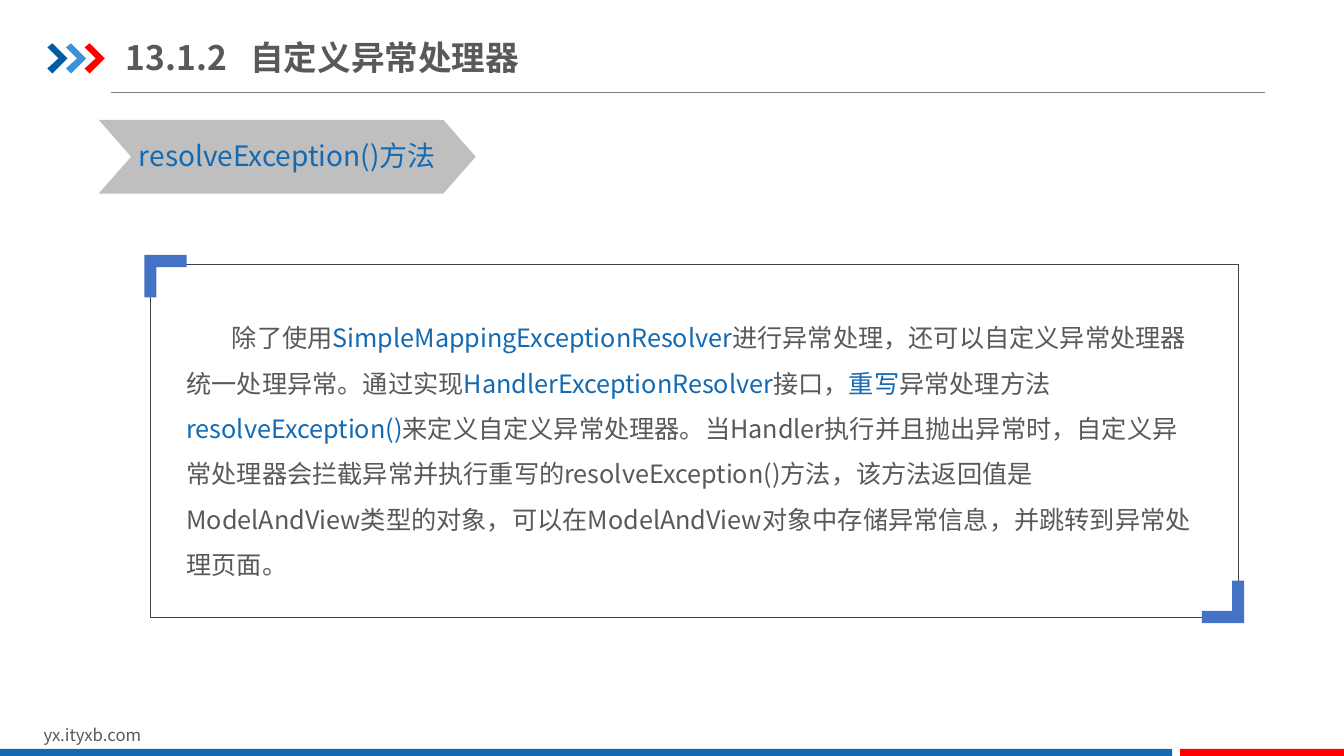
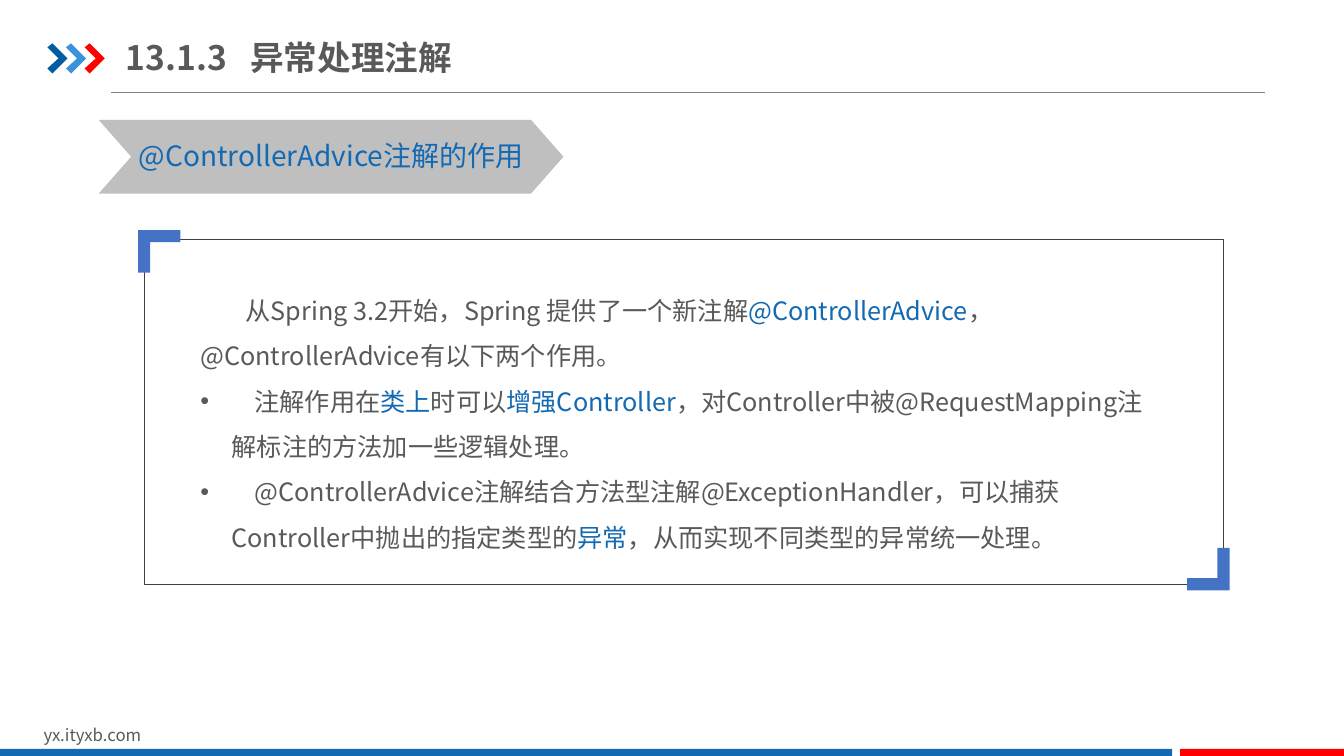
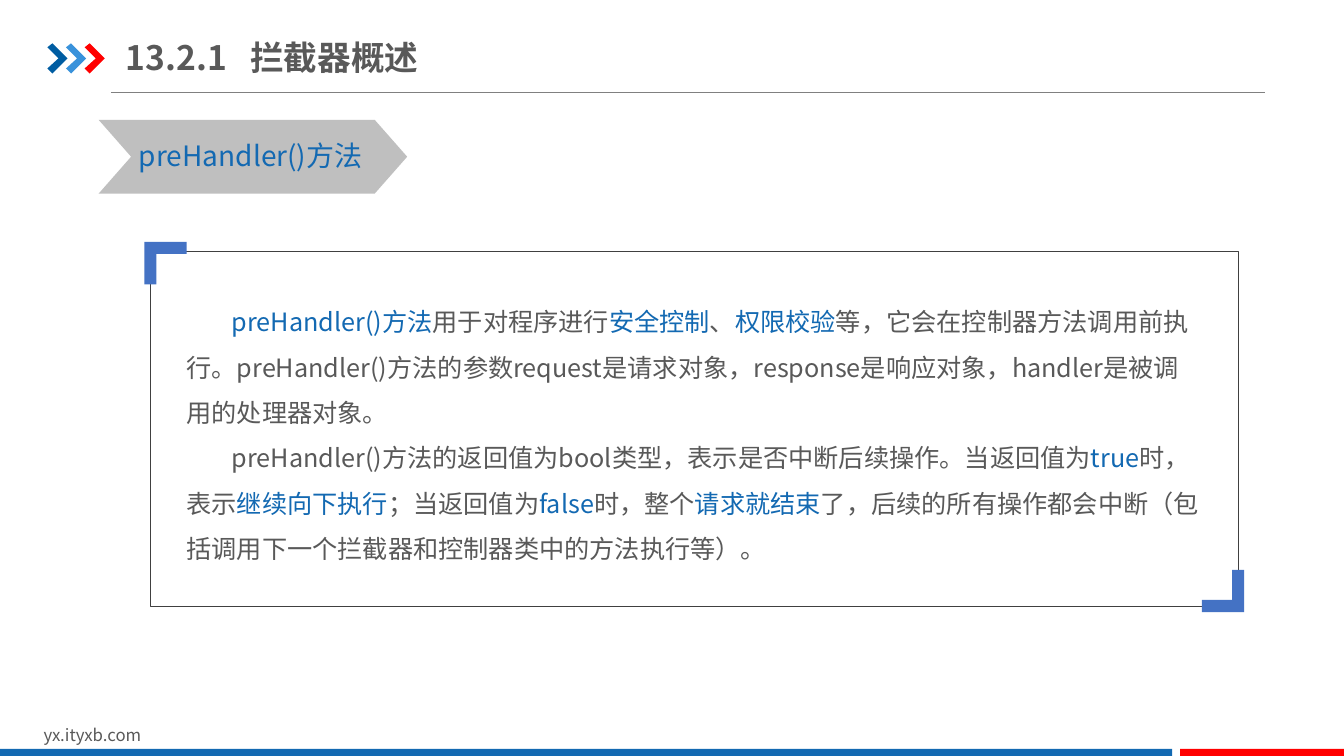
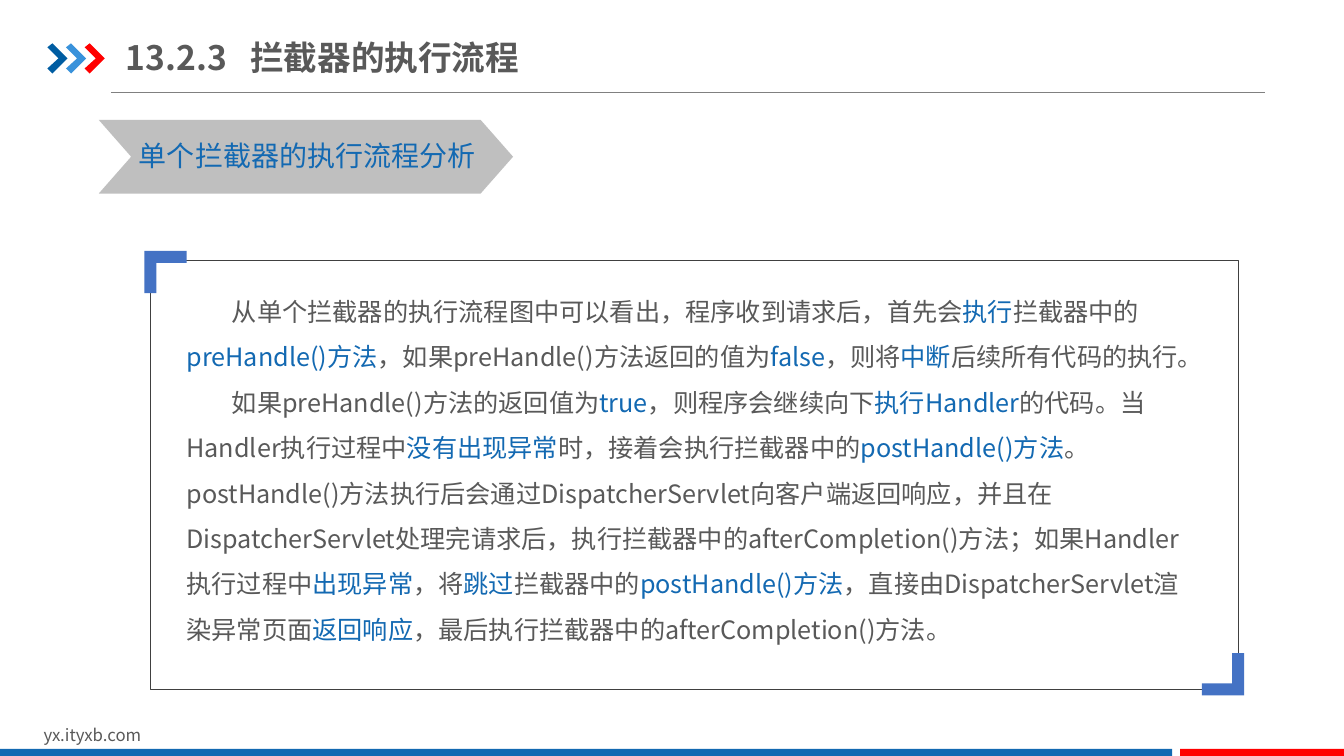
from dataclasses import dataclass

from lxml import etree
from pptx import Presentation
from pptx.dml.color import RGBColor
from pptx.enum.shapes import MSO_CONNECTOR, MSO_SHAPE
from pptx.enum.text import MSO_ANCHOR
from pptx.oxml.ns import qn
from pptx.util import Inches, Pt

STRAIGHT = MSO_CONNECTOR.STRAIGHT
RECTANGLE = MSO_SHAPE.RECTANGLE
CHEVRON = MSO_SHAPE.CHEVRON
MIDDLE = MSO_ANCHOR.MIDDLE

BLUE = RGBColor(0x13, 0x69, 0xB2)
DARK_BLUE = RGBColor(0x00, 0x5D, 0xA2)
LIGHT_BLUE = RGBColor(0x39, 0x92, 0xDB)
CORNER_BLUE = RGBColor(0x44, 0x72, 0xC4)
RED = RGBColor(0xFF, 0x00, 0x00)
TEXT_GRAY = RGBColor(0x59, 0x59, 0x59)
RULE_GRAY = RGBColor(0x80, 0x80, 0x80)
FRAME_GRAY = RGBColor(0x40, 0x40, 0x40)
BANNER_GRAY = RGBColor(0xBF, 0xBF, 0xBF)

FONT = "Noto Sans CJK SC"
COLUMNS, ROWS = 160, 90
CELL = Inches(13.333) / COLUMNS
FIRST_LINE = 5.4
BULLET_INDENT = 3.72
BULLET_TAB = 6.45
TITLE_TAB = 14.8


@dataclass
class Topic:
    number: str
    title: str
    label: str
    banner_width: float
    frame: tuple
    text_inset: tuple
    paragraphs: tuple


TOPICS = (
    Topic(
        "13.1.2", "自定义异常处理器", "resolveException()方法", 44.88,
        (17.9, 31.45, 129.5, 42), (3.12, 4.56),
        (
            "除了使用*SimpleMappingExceptionResolver*进行异常处理，还可以自定义异常处理器"
            "统一处理异常。通过实现*HandlerExceptionResolver*接口，*重写*异常处理方法"
            "*resolveException()*来定义自定义异常处理器。当Handler执行并且抛出异常时，"
            "自定义异常处理器会拦截异常并执行重写的resolveException()方法，该方法返回值是"
            "ModelAndView类型的对象，可以在ModelAndView对象中存储异常信息，并跳转到异常处理页面。",
        ),
    ),
    Topic(
        "13.1.3", "异常处理注解", "@ControllerAdvice注解的作用", 55.32,
        (17.16, 28.5, 128.5, 41.05), (5.52, 4.26),
        (
            "从Spring 3.2开始，Spring 提供了一个新注解*@ControllerAdvice*， "
            "@ControllerAdvice有以下两个作用。",
            "•注解作用在*类上*时可以*增强Controller*，对Controller中被@RequestMapping"
            "注解标注的方法加一些逻辑处理。",
            "•@ControllerAdvice注解结合方法型注解@ExceptionHandler，可以*捕获*"
            "*Controller中抛出的指定类型的*异常*，从而实现不同类型的异常统一处理。".replace("*", "", 1),
        ),
    ),
    Topic(
        "13.2.1", "拦截器概述", "preHandler()方法", 36.72,
        (17.9, 29.9, 129.5, 42.25), (3.12, 4.2),
        (
            "*preHandler()方法*用于对程序进行*安全控制*、*权限校验*等，它会在控制器方法调用前执行。"
            "preHandler()方法的参数request是请求对象，response是响应对象，"
            "handler是被调用的处理器对象。",
            "preHandler()方法的返回值为bool类型，表示是否中断后续操作。当返回值为*true*时，"
            "表示*继续向下执行*；当返回值为*false*时，整个*请求就结束*了，后续的所有操作都会中断"
            "（包括调用下一个拦截器和控制器类中的方法执行等）。",
        ),
    ),
    Topic(
        "13.2.3", "拦截器的执行流程", "单个拦截器的执行流程分析", 49.32,
        (17.9, 30.97, 129.5, 51.1), (3.12, 1.92),
        (
            "从单个拦截器的执行流程图中可以看出，程序收到请求后，首先会*执行*拦截器中的"
            "*preHandle()方法*，如果preHandle()方法返回的值为*false*，则将*中断*后续所有代码的执行。",
            "如果preHandle()方法的返回值为*true*，则程序会继续向下*执行Handler*的代码。"
            "当Handler执行过程中*没有出现异常*时，接着会执行拦截器中的*postHandle()方法*。"
            "postHandle()方法执行后会通过DispatcherServlet向客户端返回响应，并且在"
            "DispatcherServlet处理完请求后，执行拦截器中的afterCompletion()方法；"
            "如果Handler执行过程中*出现异常*，将*跳过*拦截器中的*postHandle()方法*，"
            "直接由DispatcherServlet渲染异常页面*返回响应*，最后执行拦截器中的afterCompletion()方法。",
        ),
    ),
)


def cells(*counts):
    return [round(count * CELL) for count in counts]


def set_font(font, size, color, bold=False):
    font.name = FONT
    font.size = Pt(size)
    font.bold = bold
    font.color.rgb = color
    latin = font._element.find(qn("a:latin"))
    east_asian = etree.Element(qn("a:ea"), typeface=FONT)
    latin.addnext(east_asian)


def set_indent(paragraph, margin, first_line):
    properties = paragraph._p.get_or_add_pPr()
    margin, first_line = cells(margin, first_line)
    properties.set("marL", str(margin))
    properties.set("indent", str(first_line))


def add_bullet(paragraph):
    properties = paragraph._p.get_or_add_pPr()
    etree.SubElement(properties, qn("a:buFont"), typeface="Arial")
    etree.SubElement(properties, qn("a:buChar"), char="•")


def add_tab(paragraph, position):
    properties = paragraph._p.get_or_add_pPr()
    tabs = etree.SubElement(properties, qn("a:tabLst"))
    etree.SubElement(tabs, qn("a:tab"), pos=str(cells(position)[0]), algn="l")


def paint(shape, fill):
    shape.shadow.inherit = False
    shape.fill.solid()
    shape.fill.fore_color.rgb = fill
    shape.line.fill.background()


def add_block(slide, kind, box, fill):
    shape = slide.shapes.add_shape(kind, *cells(*box))
    paint(shape, fill)
    return shape


def add_outline(slide, points, fill):
    start, *others = [cells(*point) for point in points]
    builder = slide.shapes.build_freeform(*start)
    builder.add_line_segments(others)
    paint(builder.convert_to_shape(), fill)


def add_text_frame(slide, box):
    frame = slide.shapes.add_textbox(*cells(*box)).text_frame
    frame.word_wrap = True
    return frame


def add_line_of_text(slide, box, text, size, color):
    paragraph = add_text_frame(slide, box).paragraphs[0]
    paragraph.text = text
    set_font(paragraph.font, size, color)


def add_arrow_marks(slide):
    outline = ((0, 0.48), (0.6, 0), (2.4, 1.8), (0.6, 3.6), (0, 3), (1.32, 1.8))
    for index, color in enumerate((DARK_BLUE, LIGHT_BLUE, RED)):
        left = 5.64 + index * 2.22
        add_outline(slide, [(left + x, 5.16 + y) for x, y in outline], color)


def add_title(slide, number, title):
    frame = add_text_frame(slide, (15, 3.48, 54, 6.6))
    frame.margin_left = frame.margin_right = 0
    frame.vertical_anchor = MIDDLE
    paragraph = frame.paragraphs[0]
    paragraph.text = f"{number}\t{title}"
    add_tab(paragraph, TITLE_TAB)
    set_font(paragraph.font, 24, TEXT_GRAY, bold=True)


def add_header(slide, topic):
    rule = slide.shapes.add_connector(STRAIGHT, *cells(13.2, 10.98, 150.6, 10.98))
    rule.line.color.rgb = RULE_GRAY
    rule.line.width = Pt(0.5)
    etree.SubElement(rule._element.spPr, qn("a:effectLst"))
    add_arrow_marks(slide)
    add_title(slide, topic.number, topic.title)


def add_footer(slide):
    add_line_of_text(slide, (4, 85.68, 38, 3.6), "yx.ityxb.com", 12, TEXT_GRAY)
    top = 89.16
    for left, right, color in ((0, 139.56, BLUE), (140.5, COLUMNS, RED)):
        add_block(slide, RECTANGLE, (left, top, right - left, ROWS - top), color)


def add_banner(slide, label, width):
    banner = add_block(slide, CHEVRON, (11.76, 14.28, width, 8.76), BANNER_GRAY)
    banner.adjustments[0] = 0.44
    add_line_of_text(slide, (15.36, 15.96, width - 3.6, 5.28), label, 20, BLUE)


def add_corner(slide, left, top, direction):
    size, thickness = 5.04, 1.44
    outline = (
        (0, 0), (size, 0), (size, thickness),
        (thickness, thickness), (thickness, size), (0, size),
    )
    points = [(left + direction * x, top + direction * y) for x, y in outline]
    add_outline(slide, points, CORNER_BLUE)


def add_frame(slide, box):
    left, top, width, height = box
    frame = slide.shapes.add_shape(RECTANGLE, *cells(*box))
    frame.shadow.inherit = False
    frame.fill.background()
    frame.line.color.rgb = FRAME_GRAY
    frame.line.width = Pt(0.25)
    add_corner(slide, left - 0.72, top - 1.1, 1)
    add_corner(slide, left + width + 0.72, top + height + 0.72, -1)


def fill_paragraph(paragraph, text):
    paragraph.line_spacing = 1.5
    if text.startswith("•"):
        set_indent(paragraph, BULLET_INDENT, -BULLET_INDENT)
        add_bullet(paragraph)
        add_tab(paragraph, BULLET_TAB)
        text = "\t" + text[1:]
    else:
        set_indent(paragraph, 0, FIRST_LINE)
    for index, part in enumerate(text.split("*")):
        if part:
            run = paragraph.add_run()
            run.text = part
            set_font(run.font, 18, BLUE if index % 2 else TEXT_GRAY)


def add_body(slide, topic):
    left, top, width, height = topic.frame
    side, drop = topic.text_inset
    box = (left + side, top + drop, width - 2 * side, height - 2 * drop)
    frame = add_text_frame(slide, box)
    for index, text in enumerate(topic.paragraphs):
        paragraph = frame.add_paragraph() if index else frame.paragraphs[0]
        fill_paragraph(paragraph, text)


def main():
    presentation = Presentation()
    presentation.slide_width, presentation.slide_height = cells(COLUMNS, ROWS)
    blank = presentation.slide_layouts[6]
    for topic in TOPICS:
        slide = presentation.slides.add_slide(blank)
        add_header(slide, topic)
        add_footer(slide)
        add_banner(slide, topic.label, topic.banner_width)
        add_body(slide, topic)
        add_frame(slide, topic.frame)
    presentation.save("out.pptx")


if __name__ == "__main__":
    main()
